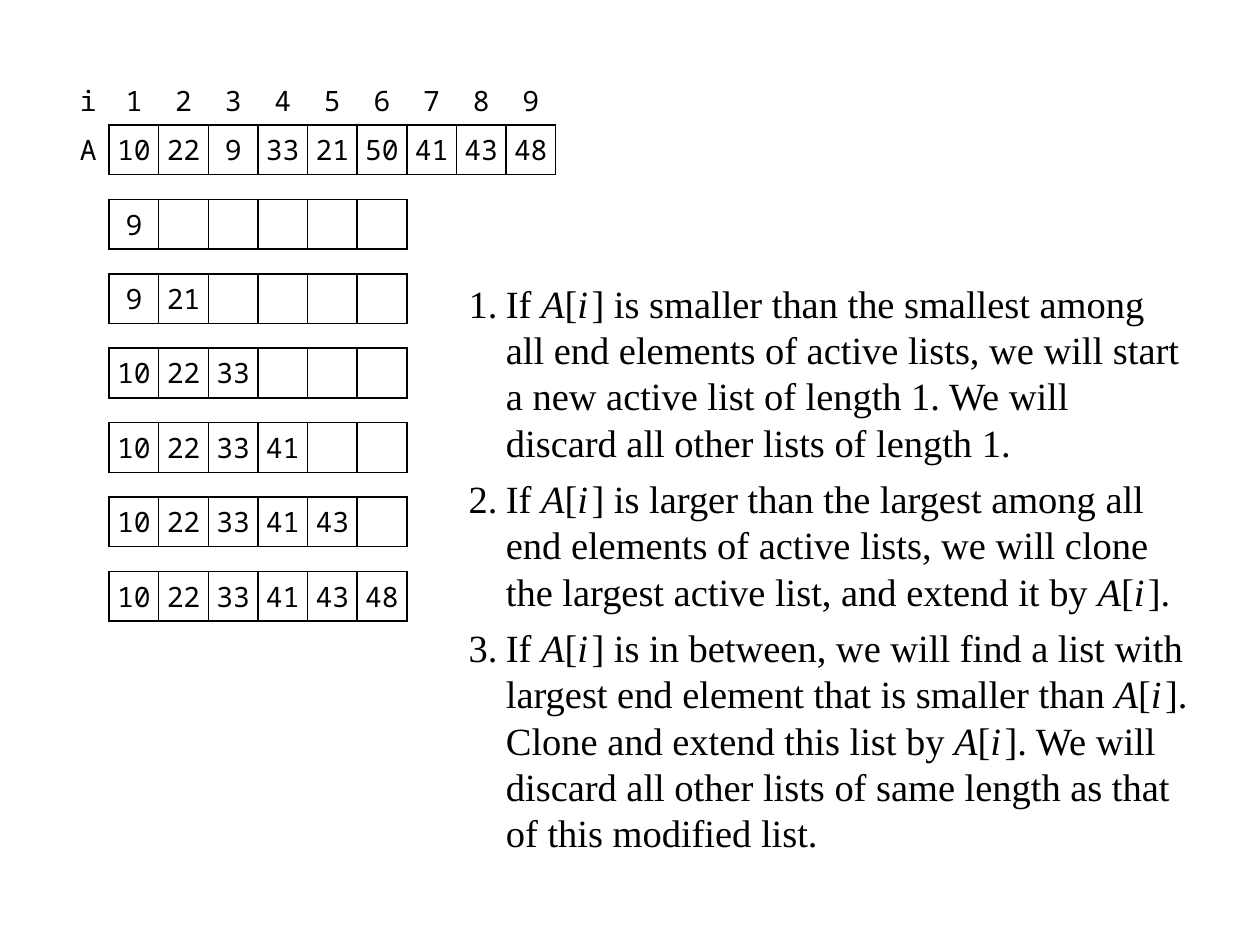
from pptx import Presentation
from pptx import util as u
from pptx.dml.color import RGBColor
from pptx.enum import text
from pptx.oxml import parse_xml
from pptx.oxml.ns import nsdecls


class Theme:
    ink = "000000"
    mono = {"name": "Noto Sans Mono", "size": u.Pt(16)}
    serif = {"name": "Times New Roman", "size": u.Pt(22)}
    rule = u.Pt(1)
    plain = "{2D5ABB26-0587-4C30-8999-92F81FD0307C}"  # no style, no grid


UNIT = u.Cm(1)  # side of one array cell
STEP = 1.5      # rows from one list to the next
SLOTS = 6
ALL = ("L", "R", "T", "B")

ARRAY = [10, 22, 9, 33, 21, 50, 41, 43, 48]
LISTS = [
    [9],
    [9, 21],
    [10, 22, 33],
    [10, 22, 33, 41],
    [10, 22, 33, 41, 43],
    [10, 22, 33, 41, 43, 48],
]
TERM = "A[i]"
RULES = [
    "If A[i] is smaller than the smallest among all end elements of active "
    "lists, we will start a new active list of length 1. We will discard all "
    "other lists of length 1.",
    "If A[i] is larger than the largest among all end elements of active "
    "lists, we will clone the largest active list, and extend it by A[i].",
    "If A[i] is in between, we will find a list with largest end element that "
    "is smaller than A[i]. Clone and extend this list by A[i]. We will discard "
    "all other lists of same length as that of this modified list.",
]


def style(item, **vals):
    for key, val in vals.items():
        setattr(item, key, val)


def paint(font, look, **more):
    style(font, **look, **more)
    font.color.rgb = RGBColor.from_string(Theme.ink)


def edge(cell, sides):
    """Rule the given sides of a cell."""
    props = cell._tc.get_or_add_tcPr()
    for side in sides:
        props.append(parse_xml(
            f'<a:ln{side} {nsdecls("a")} w="{Theme.rule}"><a:solidFill>'
            f'<a:srgbClr val="{Theme.ink}"/></a:solidFill></a:ln{side}>'))
    cell.fill.background()


def fill(cell, val, sides, label=False):
    style(cell, margin_left=0, margin_top=0, margin_bottom=0,
          margin_right=u.Inches(0.1 if label else 0),
          vertical_anchor=text.MSO_ANCHOR.MIDDLE)
    edge(cell, sides)
    para = cell.text_frame.paragraphs[0]
    para.alignment = text.PP_ALIGN.RIGHT if label else text.PP_ALIGN.CENTER
    paint(para.font, Theme.mono)
    if val != "":
        run = para.add_run()
        run.text = str(val)
        paint(run.font, Theme.mono)


def grid(slide, left, top, rows, cols):
    """Add a bare table of square cells."""
    frame = slide.shapes.add_table(rows, cols, left, top, cols * UNIT, rows * UNIT)
    table = frame.table
    style(table, first_row=False, horz_banding=False)
    frame._element.xpath(".//a:tableStyleId")[0].text = Theme.plain
    for line in table.rows:
        line.height = UNIT
    for col in table.columns:
        col.width = UNIT
    return table


def array(slide, left, top):
    """Index row above the ruled array, with a label column."""
    data = [["i", *range(1, len(ARRAY) + 1)], ["A", *ARRAY]]
    table = grid(slide, left, top, len(data), len(data[0]))
    for row, line in enumerate(data):
        for col, val in enumerate(line):
            if row:
                sides = ALL if col else ("R",)
            else:
                sides = ("B",) if col else ()
            fill(table.cell(row, col), val, sides, label=col == 0)


def lists(slide, left, top):
    """Active lists, one ruled strip for each length."""
    for num, vals in enumerate(LISTS):
        table = grid(slide, left, top + int(num * STEP * UNIT), 1, SLOTS)
        for col in range(SLOTS):
            fill(table.cell(0, col), vals[col] if col < len(vals) else "", ALL)


def write(para, words, slant=False, gap=0):
    run = para.add_run()
    run.text = words
    paint(run.font, Theme.serif, italic=slant)
    if gap:
        run.font._element.set("spc", str(gap))


def rules(slide, left, top, width, height):
    """Numbered rules with a hanging indent and slanted terms."""
    frame = slide.shapes.add_textbox(left, top, width, height).text_frame
    frame.word_wrap = True
    hang = u.Cm(0.75)
    for num, rule in enumerate(RULES, 1):
        para = frame.paragraphs[0] if num == 1 else frame.add_paragraph()
        props = para._p.get_or_add_pPr()
        props.set("marL", str(hang))
        props.set("indent", str(-hang))
        para.space_before = u.Pt(0 if num == 1 else 6)
        head, *rest = rule.split(TERM)
        write(para, f"{num}.\t{head}")
        for part in rest:
            write(para, "A", slant=True)
            write(para, "[")
            write(para, "i", slant=True, gap=200)
            write(para, "]" + part)


def main():
    deck = Presentation()
    style(deck, slide_width=u.Inches(10), slide_height=u.Inches(7.5))
    slide = deck.slides.add_slide(deck.slide_layouts[6])
    left, top = u.Cm(1.2), u.Cm(1.52)
    array(slide, left, top)
    lists(slide, left + UNIT, top + int(2.5 * UNIT))
    rules(slide, left + 8 * UNIT, top + 4 * UNIT, 15 * UNIT, 12 * UNIT)
    deck.save("out.pptx")


if __name__ == "__main__":
    main()
